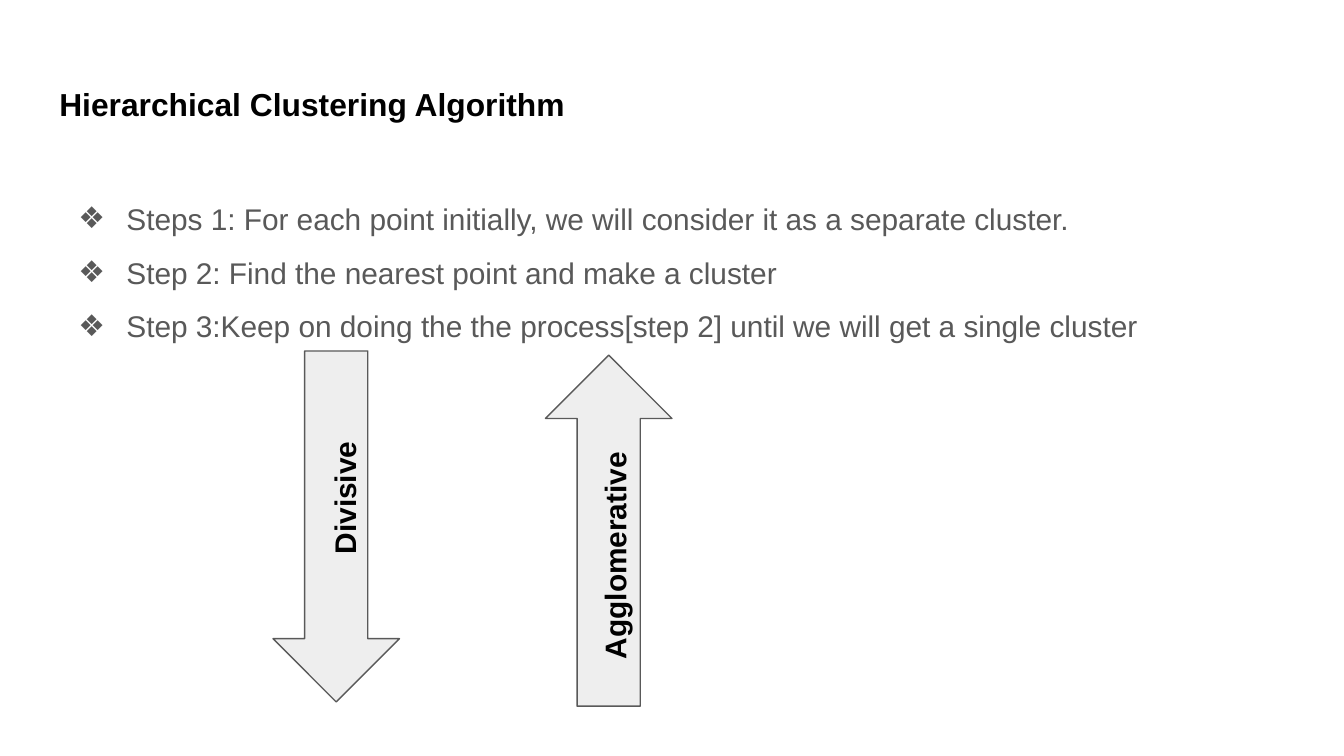
import pptx
import pptx.util
import pptx.dml.color
import pptx.enum.shapes
import pptx.enum.text
import pptx.oxml.ns
import lxml.etree

Cm = pptx.util.Cm
Pt = pptx.util.Pt
SHAPES = pptx.enum.shapes.MSO_SHAPE
BLACK = pptx.dml.color.RGBColor(0x00, 0x00, 0x00)
GREY = pptx.dml.color.RGBColor(0x59, 0x59, 0x59)
PALE = pptx.dml.color.RGBColor(0xEE, 0xEE, 0xEE)

TITLE = "Hierarchical Clustering Algorithm"
STEPS = [
    "Steps 1: For each point initially, we will consider it as a separate cluster.",
    "Step 2: Find the nearest point and make a cluster",
    "Step 3:Keep on doing the the process[step 2] until we will get a single cluster",
]
ARROWS = [
    (SHAPES.DOWN_ARROW, 5.16, 6.63),
    (SHAPES.UP_ARROW, 10.31, 6.71),
]
ARROW_SIZE = (2.39, 6.63)
LABELS = [
    ("Agglomerative", 11.52, 10.45, 4.5),
    ("Divisive", 6.41, 9.36, 2.72),
]
LABEL_HEIGHT = 1.19
MARGIN, CONTENT_WIDTH = 0.87, 23.67


def place(box, left, top, width, height):
    box.left, box.top = Cm(left), Cm(top)
    box.width, box.height = Cm(width), Cm(height)


def prepare_frame(box, wrap=True):
    frame = box.text_frame
    frame.margin_left = frame.margin_right = Cm(0.25)
    frame.margin_top = frame.margin_bottom = Cm(0.25)
    frame.auto_size = pptx.enum.text.MSO_AUTO_SIZE.NONE
    frame.vertical_anchor = pptx.enum.text.MSO_ANCHOR.TOP
    frame.word_wrap = wrap
    return frame


def format_para(para, size, color, bold, line_spacing, after=0):
    para.alignment = pptx.enum.text.PP_ALIGN.LEFT
    para.line_spacing = line_spacing
    para.space_before = Pt(0)
    para.space_after = Pt(after)
    para.font.name = "Arial"
    para.font.size = Pt(size)
    para.font.bold = bold
    para.font.color.rgb = color


def add_bullet(para):
    qn = pptx.oxml.ns.qn
    properties = para._p.get_or_add_pPr()
    properties.set("marL", str(Cm(1.27)))
    properties.set("indent", str(-Cm(0.91)))
    color = lxml.etree.SubElement(properties, qn("a:buClr"))
    lxml.etree.SubElement(color, qn("a:srgbClr"), val=str(GREY))
    lxml.etree.SubElement(properties, qn("a:buFont"), typeface="Arial")
    lxml.etree.SubElement(properties, qn("a:buChar"), char="❖")


def main():
    deck = pptx.Presentation()
    deck.slide_width, deck.slide_height = Cm(25.4), Cm(14.28)
    page = deck.slides.add_slide(deck.slide_layouts[1])

    title = page.shapes.title
    place(title, MARGIN, 1.24, CONTENT_WIDTH, 1.6)
    frame = prepare_frame(title)
    frame.text = TITLE
    format_para(frame.paragraphs[0], 17, BLACK, True, 1.15, after=4)

    body = page.placeholders[1]
    place(body, MARGIN, 3.2, CONTENT_WIDTH, 9.5)
    frame = prepare_frame(body)
    frame.text = "\n".join(STEPS)
    for para in frame.paragraphs:
        add_bullet(para)
        format_para(para, 16, GREY, False, 1.5)

    for kind, left, top in ARROWS:
        arrow = page.shapes.add_shape(kind, Cm(left), Cm(top), *map(Cm, ARROW_SIZE))
        arrow.shadow.inherit = False
        arrow.fill.solid()
        arrow.fill.fore_color.rgb = PALE
        arrow.line.color.rgb = GREY
        arrow.line.width = Pt(0.75)

    for text, center_x, center_y, width in LABELS:
        label = page.shapes.add_textbox(
            Cm(center_x - width / 2), Cm(center_y - LABEL_HEIGHT / 2),
            Cm(width), Cm(LABEL_HEIGHT))
        label.rotation = 270
        frame = prepare_frame(label)
        frame.text = text
        format_para(frame.paragraphs[0], 16, BLACK, True, 1.15, after=12)

    deck.save("out.pptx")


if __name__ == "__main__":
    main()
